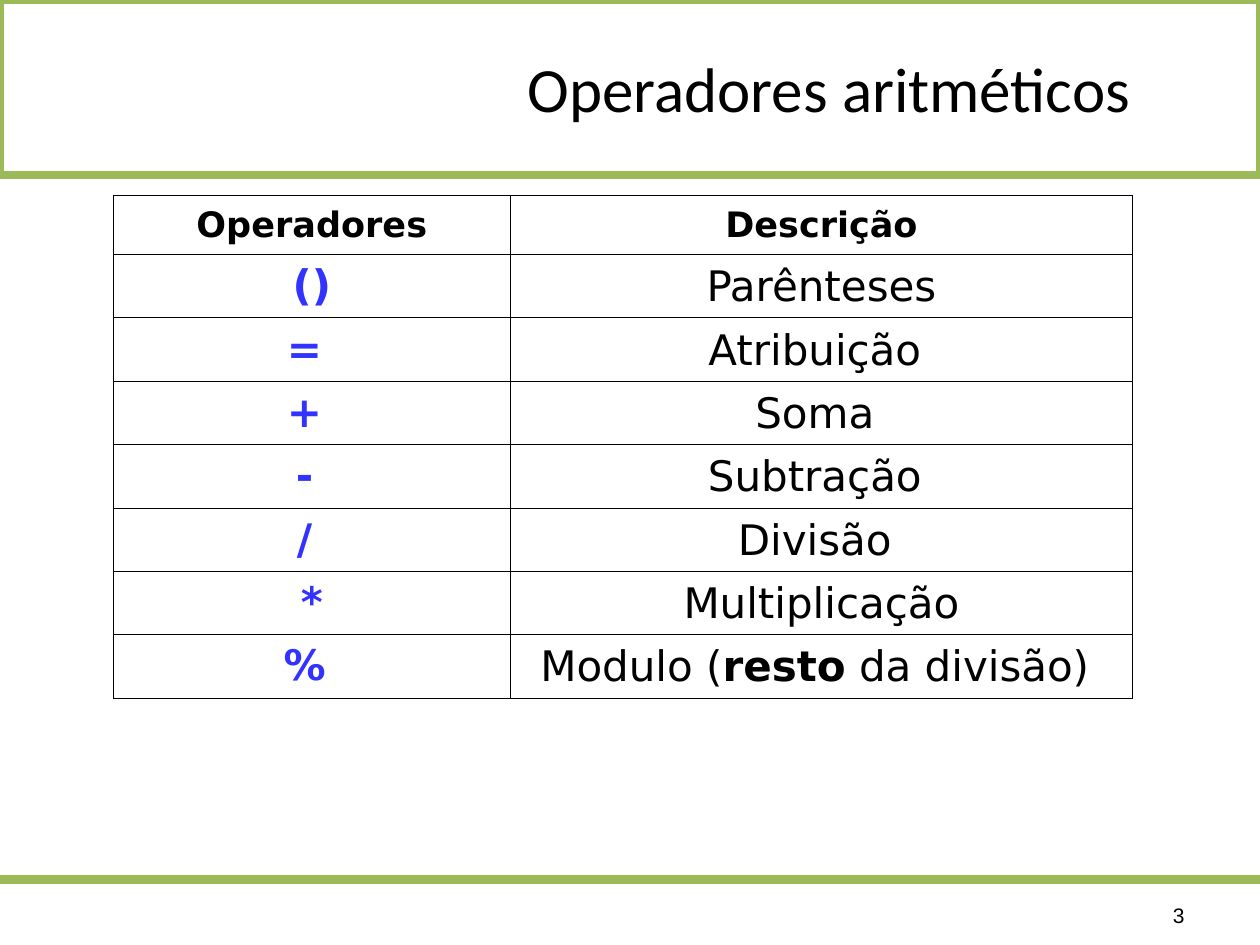
from typing import NamedTuple

from lxml.etree import SubElement
from pptx import Presentation
from pptx.dml.color import RGBColor
from pptx.enum.shapes import MSO_CONNECTOR as Connector, MSO_SHAPE as Shape
from pptx.enum.text import MSO_ANCHOR as Anchor, PP_ALIGN as Align
from pptx.oxml.ns import qn
from pptx.util import Inches, Pt

BLACK, WHITE, GREEN, BLUE = "000000", "FFFFFF", "9BBB59", "3333FF"
TABLE_FONT = "DejaVu Sans"
HEADER_HEIGHT, TABLE_HEIGHT = 0.47, 3.99
COLUMN_WIDTHS = (3.15, 4.94)


class Run(NamedTuple):
    text: str
    bold: bool = False


class Operator(NamedTuple):
    symbol: str
    description: tuple[Run, ...]


# Trailing spaces are part of the centred text
OPERATORS = (
    Operator("()", (Run("Parênteses"),)),
    Operator("= ", (Run("Atribuição "),)),
    Operator("+ ", (Run("Soma "),)),
    Operator("- ", (Run("Subtração "),)),
    Operator("/ ", (Run("Divisão "),)),
    Operator("*", (Run("Multiplicação"),)),
    Operator("% ", (Run("Modulo ("), Run("resto", True), Run(" da divisão) "))),
)


def rgb(value: str) -> RGBColor:
    return RGBColor.from_string(value)


def write(frame, *runs: Run, size: float, font: str = TABLE_FONT,
          color: str = BLACK, align=Align.CENTER) -> None:
    paragraph = frame.paragraphs[0]
    paragraph.alignment = align
    for part in runs:
        run = paragraph.add_run()
        run.text = part.text
        run.font.size = Pt(size)
        run.font.name = font
        run.font.bold = part.bold
        run.font.color.rgb = rgb(color)


def add_label(slide, text: str, left: float, top: float, width: float,
              height: float, **text_format) -> None:
    frame = slide.shapes.add_textbox(
        Inches(left), Inches(top), Inches(width), Inches(height)).text_frame
    frame.word_wrap = True
    frame.vertical_anchor = Anchor.MIDDLE
    write(frame, Run(text), **text_format)


def set_borders(cell, color: str, width: float) -> None:
    properties = cell._tc.get_or_add_tcPr()
    for index, side in enumerate(("lnL", "lnR", "lnT", "lnB")):
        line = SubElement(properties, qn(f"a:{side}"), w=str(Pt(width)))
        fill = SubElement(line, qn("a:solidFill"))
        SubElement(fill, qn("a:srgbClr"), val=color)
        properties.remove(line)
        properties.insert(index, line)


def fill_cell(cell, *runs: Run, anchor=Anchor.MIDDLE, **text_format) -> None:
    cell.fill.solid()
    cell.fill.fore_color.rgb = rgb(WHITE)
    cell.vertical_anchor = anchor
    set_borders(cell, BLACK, 0.45)
    write(cell.text_frame, *runs, **text_format)


def add_frame(slide) -> None:
    banner = slide.shapes.add_shape(
        Shape.RECTANGLE, 0, 0, Inches(10), Inches(1.39))
    banner.shadow.inherit = False
    banner.fill.solid()
    banner.fill.fore_color.rgb = rgb(WHITE)
    footer_rule = slide.shapes.add_connector(
        Connector.STRAIGHT, 0, Inches(6.98), Inches(10), Inches(6.98))
    SubElement(footer_rule._element.spPr, qn("a:effectLst"))
    for outlined in (banner, footer_rule):
        outlined.line.color.rgb = rgb(GREEN)
        outlined.line.width = Pt(5)


def add_operator_table(slide) -> None:
    table = slide.shapes.add_table(
        len(OPERATORS) + 1, 2, Inches(0.9), Inches(1.55),
        Inches(sum(COLUMN_WIDTHS)), Inches(TABLE_HEIGHT)).table
    table.first_row = table.horz_banding = False
    for column, width in zip(table.columns, COLUMN_WIDTHS):
        column.width = Inches(width)
    row_height = (TABLE_HEIGHT - HEADER_HEIGHT) / len(OPERATORS)
    for index, row in enumerate(table.rows):
        row.height = Inches(row_height if index else HEADER_HEIGHT)

    for column, heading in enumerate(("Operadores", "Descrição")):
        fill_cell(table.cell(0, column), Run(heading, True), size=20)
    for row, operator in enumerate(OPERATORS, start=1):
        fill_cell(table.cell(row, 0), Run(operator.symbol, True),
                  size=24, color=BLUE)
        fill_cell(table.cell(row, 1), *operator.description,
                  size=24, anchor=Anchor.BOTTOM)


def main() -> None:
    deck = Presentation()
    deck.slide_width, deck.slide_height = Inches(10), Inches(7.5)
    slide = deck.slides.add_slide(deck.slide_layouts[6])

    # Banner and footer rule
    add_frame(slide)
    # Title and page number
    add_label(slide, "Operadores aritméticos", 3.98, 0.13, 5.2, 1.13,
              size=36, font="Calibri")
    add_label(slide, "3", 7.17, 7.06, 2.33, 0.4,
              size=12, font="Arial", align=Align.RIGHT)
    # Operators with their meaning
    add_operator_table(slide)

    deck.save("out.pptx")


if __name__ == "__main__":
    main()
